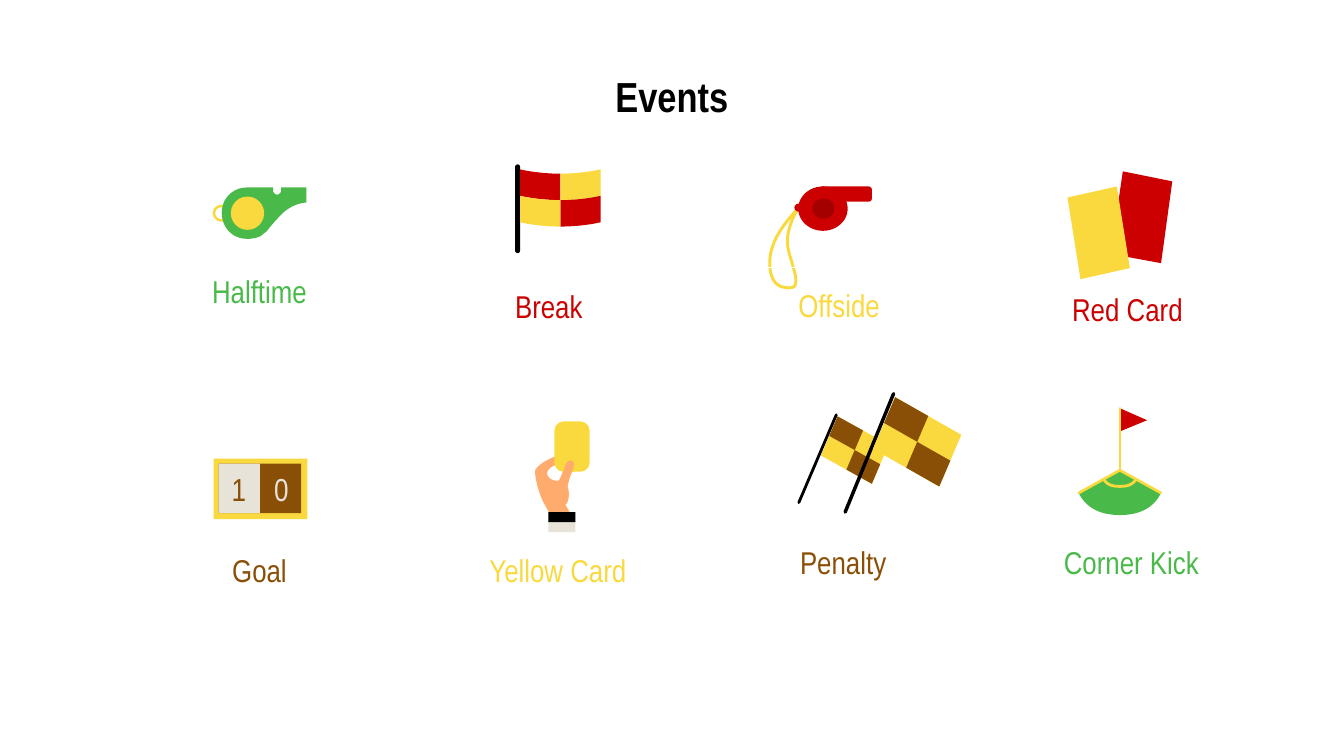
"""Build a slide of eight football events, each with an icon and a label."""
from dataclasses import dataclass
from typing import Optional, Union

from lxml.etree import SubElement
from pptx import Presentation
from pptx.dml.color import RGBColor
from pptx.enum.shapes import MSO_CONNECTOR, MSO_SHAPE
from pptx.enum.text import MSO_ANCHOR, PP_ALIGN
from pptx.oxml.ns import qn
from pptx.util import Pt

BLACK = RGBColor(0x00, 0x00, 0x00)
WHITE = RGBColor(0xFF, 0xFF, 0xFF)
GREEN = RGBColor(0x49, 0xBA, 0x49)
RED = RGBColor(0xCC, 0x00, 0x00)
DARK_RED = RGBColor(0xA5, 0x00, 0x00)
YELLOW = RGBColor(0xF9, 0xD9, 0x3D)
BROWN = RGBColor(0x8A, 0x4F, 0x07)
CREAM = RGBColor(0xE8, 0xE3, 0xD9)
SKIN = RGBColor(0xFF, 0xAB, 0x6D)

INSETS = {f"margin_{side}": Pt(9.4) for side in ("left", "right", "top", "bottom")}
FRAME_FORMAT = {"word_wrap": True, **INSETS}
LABEL_FORMAT = {"alignment": PP_ALIGN.CENTER, "line_spacing": 1.15, "space_after": Pt(21.3)}
TITLE_FORMAT = {"alignment": PP_ALIGN.CENTER, "line_spacing": 0.5}
DIGIT_FORMAT = {"alignment": PP_ALIGN.CENTER}
CURVE_STEPS = 10
Path = list[tuple[float, ...]]


@dataclass
class Preset:
    """A filled preset shape."""
    kind: MSO_SHAPE
    left: float
    top: float
    width: float
    height: float
    color: RGBColor
    rounding: Optional[float] = None


@dataclass
class Outline:
    """A freeform of points and cubic curves, stroked when it has a width."""
    steps: Path
    color: RGBColor
    width: float = 0


@dataclass
class Pole:
    """A straight line with round ends."""
    start: tuple[float, float]
    end: tuple[float, float]
    color: RGBColor
    width: float


@dataclass
class Label:
    """A box of centred text."""
    text: str
    left: float
    top: float
    color: RGBColor
    width: float = 188
    height: float = 40.3
    size: float = 22.5
    bold: bool = False
    anchor: MSO_ANCHOR = MSO_ANCHOR.TOP
    border: Optional[RGBColor] = None


Piece = Union[Preset, Outline, Pole]


def wave_panel(edge: float, top: float, color: RGBColor) -> Outline:
    """Return one panel of the waving flag, from its outer edge to the middle."""
    middle, height, sag = 400.3, 18.9, 3.1
    bend = edge + (middle - edge) * 0.43
    low = top + height
    return Outline([(edge, top), (edge, low),
                    (edge, low, bend, low + sag, middle, low + sag), (middle, top + sag),
                    (bend, top + sag, edge, top, edge, top)], color)


def checkered_flag(x: float, y: float, along: tuple[float, float],
                   down: tuple[float, float]) -> list[Piece]:
    """Return a slanted yellow flag with two brown quarters."""
    def cell(start: float, size: float, color: RGBColor) -> Outline:
        corners = ((start, start), (start, start + size),
                   (start + size, start + size), (start + size, start))
        return Outline([(x + a * along[0] + d * down[0], y + a * along[1] + d * down[1])
                        for a, d in corners], color)
    return [cell(0, 1, YELLOW), cell(0.5, 0.5, BROWN), cell(0, 0.5, BROWN)]


RECTANGLE, OVAL, ROUNDED = MSO_SHAPE.RECTANGLE, MSO_SHAPE.OVAL, MSO_SHAPE.ROUNDED_RECTANGLE
THUMB_EDGE: Path = [(407.5, 339.1, 409.7, 334.8, 409.7, 333.4),
                    (410.4, 331.9, 410.4, 329.8, 408.2, 329)]
THUMB_TIP: Path = [(407.5, 329), (406.1, 329, 404.6, 330.5, 403.9, 331.9)]

HALFTIME: list[Piece] = [
    Preset(MSO_SHAPE.DONUT, 151.9, 146.2, 12.2, 12.2, YELLOW, 0.15),
    Outline([(176.4, 133.9), (166.3, 133.9, 158.4, 141.8, 158.4, 151.9),
             (158.4, 162.7, 166.3, 170.6, 176.4, 170.6), (180, 170.6, 183.6, 169.9, 186.5, 168.5),
             (187.9, 167, 189.4, 166.3, 190.8, 164.9), (193, 162, 195.8, 158.4, 202.3, 151.9),
             (210.2, 144.7, 218.9, 144.7, 218.9, 144.7), (218.9, 133.9), (200.9, 133.9),
             (200.9, 136.1), (200.9, 137.5, 199.4, 139, 198, 139),
             (196.6, 139, 195.1, 137.5, 195.1, 136.1), (195.1, 133.9)], GREEN),
    Preset(OVAL, 164.9, 140.4, 23.8, 23.8, YELLOW)]
BREAK: list[Piece] = [
    Preset(ROUNDED, 367.9, 117.4, 3.6, 63.4, BLACK, 0.5),
    *(wave_panel(edge, top, color) for edge, top, color in (
        (371.5, 121, RED), (429.1, 121, YELLOW), (429.1, 139.9, RED), (371.5, 139.9, YELLOW)))]
OFFSIDE: list[Piece] = [
    Outline([(570.6, 148.3), (565.2, 154.1, 553, 167, 550.4, 181.4),
             (548.6, 193, 551.2, 203.8, 559.8, 205.2), (563, 205.6),
             (565.6, 205.6, 566.6, 205.2, 567.4, 204.5), (569.9, 201.2, 567.7, 194, 564.8, 184.7),
             (563.4, 179.6), (560.2, 167.8, 565.9, 155.5, 570.6, 148.3)], YELLOW, 2.1),
    Preset(OVAL, 567.4, 145.4, 6.5, 5.8, RED),
    Preset(OVAL, 570.2, 133.2, 35.3, 31.7, RED),
    Preset(ROUNDED, 585, 133.2, 37.8, 10.8, RED, 0.2),
    Preset(OVAL, 580.3, 141.8, 15.8, 14.4, DARK_RED)]
RED_CARD: list[Piece] = [
    Outline([(802.1, 122.4), (793.4, 181.4), (829.4, 188), (837.4, 129.6)], RED),
    Outline([(797.8, 133.2), (762.5, 141.1), (771.8, 199.4), (807.1, 191.5)], YELLOW)]
GOAL: list[Piece] = [
    Preset(RECTANGLE, 152.6, 327.6, 67, 43.2, YELLOW),
    Preset(RECTANGLE, 156.2, 331.2, 59, 35.3, BROWN),
    Preset(RECTANGLE, 156.2, 331.2, 29.5, 35.3, CREAM)]
YELLOW_CARD: list[Piece] = [
    Outline([(406.8, 321.8), (406.8, 321.8, 397.4, 325.4, 391.7, 328.3),
             (386.6, 330.5, 382.3, 334.8, 382.3, 336.2), (381.6, 339.8, 385.2, 354.2, 388.8, 360),
             (391.7, 365, 394.6, 370.8, 396, 373), (411.1, 373), (403.9, 360.7),
             (403.9, 360.7, 408.2, 357.1, 405.4, 347), (406.8, 341.3), *THUMB_EDGE, *THUMB_TIP,
             (403.2, 333.4, 400.3, 342.7, 398.9, 343.4), (397.4, 343.4),
             (396, 343.4, 393.8, 342.7, 392.4, 341.3), (390.2, 339.1, 390.2, 337, 393.1, 334.1),
             (396.7, 331.9, 403.2, 329.8, 405.4, 328.3),
             (407.5, 326.2, 407.5, 323.3, 406.8, 321.8)], SKIN),
    Preset(ROUNDED, 396, 301, 25.2, 36, YELLOW, 0.26),
    Outline([*THUMB_TIP, (403.9, 332.6, 402.5, 336.2, 401.8, 338.4),
             (401.8, 342, 404.6, 345.6, 405.4, 347), (406.8, 341.3), *THUMB_EDGE], SKIN),
    Preset(RECTANGLE, 391.7, 365.8, 19.4, 14.4, CREAM),
    Preset(RECTANGLE, 391.7, 365.8, 19.4, 7.2, BLACK)]
PENALTY: list[Piece] = [
    Pole((597.4, 296.3), (570.6, 359), BLACK, 2),
    *checkered_flag(598.3, 297.4, (36.4, 20.2), (-11.9, 28)),
    Pole((638.3, 281.2), (603.7, 365.8), BLACK, 2.5),
    *checkered_flag(639.4, 283.7, (47.3, 26.9), (-15.8, 36.9))]
CORNER_KICK: list[Piece] = [
    Outline([(799.9, 335.5), (770.4, 352.1), (776.2, 363.6, 787, 367.9, 799.9, 367.9),
             (812.9, 367.9, 823.7, 363.6, 829.4, 352.1)], GREEN),
    Outline([(799.9, 291.6), (799.9, 308.2), (819.4, 300.2)], RED),
    Outline([(788.2, 342), (791, 347.4, 797, 347.4, 799.9, 347.4),
             (802.8, 347.4, 808.8, 347.4, 811.6, 342)], YELLOW, 2),
    Outline([(770.1, 352.4), (799.9, 335.9), (829.7, 352.4)], YELLOW, 1.9),
    Pole((799.9, 291.6), (799.9, 335.5), YELLOW, 1.6)]
ICONS = (HALFTIME, BREAK, OFFSIDE, RED_CARD, GOAL, YELLOW_CARD, PENALTY, CORNER_KICK)

TITLE = Label("Events", 74.9, 56.9, BLACK, 810, 43.2, 30, True)
DIGITS = [Label(text, left, 336.2, color, 30.2, 25.9, 22.7, anchor=MSO_ANCHOR.MIDDLE)
          for text, left, color in (("1", 155.5, BROWN), ("0", 185.8, CREAM))]
LABELS = [
    Label("Halftime", 91.4, 180.7, GREEN), Label("Break", 298.1, 191.5, RED),
    Label("Offside", 505.4, 190.8, YELLOW, border=WHITE), Label("Red Card", 711.4, 193.7, RED),
    Label("Goal", 91.4, 380.2, BROWN), Label("Yellow Card", 304.6, 380.2, YELLOW),
    Label("Penalty", 508.3, 374.4, BROWN), Label("Corner Kick", 714.2, 374.4, GREEN)]


def flatten(steps: Path) -> list[tuple[Pt, Pt]]:
    """Turn points and cubic curves into a list of corners."""
    corners = [steps[0]]
    for step in steps[1:]:
        if len(step) == 2:
            corners.append(step)
            continue
        knots = (corners[-1], step[:2], step[2:4], step[4:])
        for index in range(1, CURVE_STEPS + 1):
            t = index / CURVE_STEPS
            weights = ((1 - t) ** 3, 3 * t * (1 - t) ** 2, 3 * t * t * (1 - t), t ** 3)
            corners.append(tuple(sum(w * knot[axis] for w, knot in zip(weights, knots))
                                 for axis in (0, 1)))
    return [(Pt(x), Pt(y)) for x, y in corners]


def draw_piece(page, piece: Piece) -> None:
    """Draw one part of an icon."""
    if isinstance(piece, Pole):
        pole = page.shapes.add_connector(MSO_CONNECTOR.STRAIGHT, *map(Pt, piece.start + piece.end))
        pole.line.color.rgb, pole.line.width = piece.color, Pt(piece.width)
        pole.get_or_add_ln().set("cap", "rnd")
        SubElement(pole.element.spPr, qn("a:effectLst"))
        return
    stroke = 0
    if isinstance(piece, Preset):
        shape = page.shapes.add_shape(piece.kind, Pt(piece.left), Pt(piece.top),
                                      Pt(piece.width), Pt(piece.height))
        if piece.rounding is not None:
            shape.adjustments[0] = piece.rounding
    else:
        stroke = piece.width
        start, *rest = flatten(piece.steps)
        builder = page.shapes.build_freeform(*start)
        shape = builder.add_line_segments(rest, close=not stroke).convert_to_shape()
    shape.shadow.inherit = False
    if stroke:
        shape.fill.background()
        shape.line.color.rgb, shape.line.width = piece.color, Pt(stroke)
    else:
        shape.fill.solid()
        shape.fill.fore_color.rgb = piece.color
        shape.line.fill.background()


def draw_label(page, label: Label, para_format: dict) -> None:
    """Draw one text box with the given paragraph format."""
    box = page.shapes.add_textbox(Pt(label.left), Pt(label.top), Pt(label.width), Pt(label.height))
    if label.border is not None:
        box.line.color.rgb, box.line.width = label.border, Pt(0.75)
    para = box.text_frame.paragraphs[0]
    span = para.add_run()
    span.text = label.text
    span.font.color.rgb = label.color
    font_format = {"name": "Arial Narrow", "size": Pt(label.size), "bold": label.bold}
    frame_format = {**FRAME_FORMAT, "vertical_anchor": label.anchor}
    for target, values in ((box.text_frame, frame_format), (para, para_format),
                           (span.font, font_format)):
        for name, value in values.items():
            setattr(target, name, value)


def main() -> None:
    """Build and save the deck."""
    deck = Presentation()
    deck.slide_width, deck.slide_height = Pt(960), Pt(540)
    page = deck.slides.add_slide(deck.slide_layouts[6])
    draw_label(page, TITLE, TITLE_FORMAT)
    for icon in ICONS:
        for piece in icon:
            draw_piece(page, piece)
    for digit in DIGITS:
        draw_label(page, digit, DIGIT_FORMAT)
    for label in LABELS:
        draw_label(page, label, LABEL_FORMAT)
    deck.save("out.pptx")


if __name__ == "__main__":
    main()
